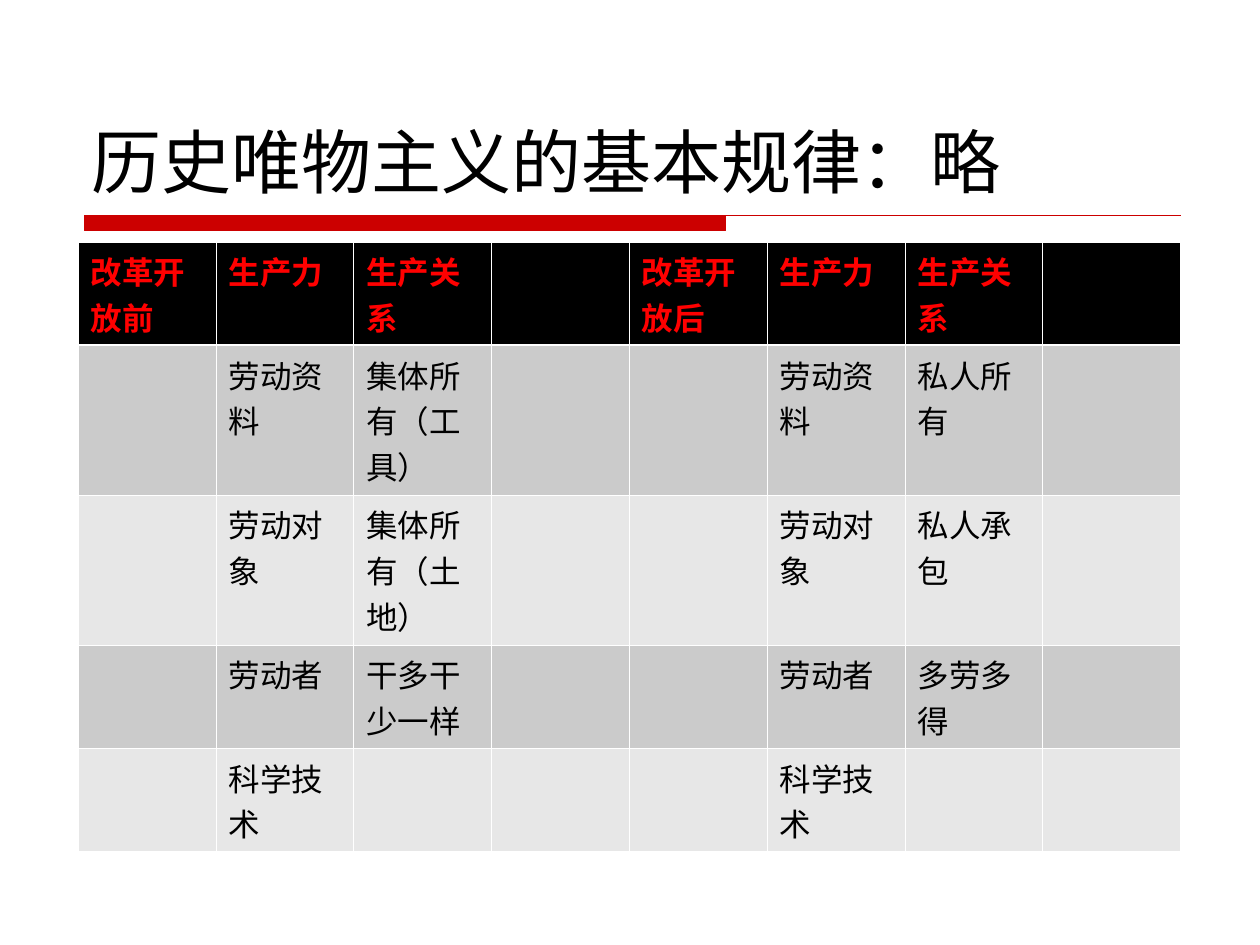
from lxml import etree
from pptx import Presentation
from pptx.dml.color import RGBColor
from pptx.enum.shapes import MSO_CONNECTOR
from pptx.enum.text import MSO_ANCHOR
from pptx.oxml.ns import qn
from pptx.util import Inches, Pt

STRAIGHT = MSO_CONNECTOR.STRAIGHT
BOTTOM = MSO_ANCHOR.BOTTOM

TITLE = "历史唯物主义的基本规律：略"
ROWS = [
    ["改革开放前", "生产力", "生产关系", "", "改革开放后", "生产力", "生产关系", ""],
    ["", "劳动资料", "集体所有（工具）", "", "", "劳动资料", "私人所有", ""],
    ["", "劳动对象", "集体所有（土地）", "", "", "劳动对象", "私人承包", ""],
    ["", "劳动者", "干多干少一样", "", "", "劳动者", "多劳多得", ""],
    ["", "科学技术", "", "", "", "科学技术", "", ""],
]
ROW_HEIGHTS = [0.82, 1.19, 1.19, 0.82, 0.82]
TABLE_LEFT, TABLE_TOP, TABLE_WIDTH = 0.62, 1.92, 8.75
RULE_LEFT, RULE_TOP, RULE_RIGHT = 0.67, 1.71, 9.37
BAR_RIGHT, BAR_BOTTOM = 5.76, 1.83
FOOTER_TOP, FOOTER_RIGHT = 6.75, 9.33
THIN, THICK = 0.45, 1.47

COLORS = {
    "accent": "CC0000",
    "text": "000000",
    "header": "000000",
    "header_text": "FF0000",
    "odd": "CBCBCB",
    "even": "E7E7E7",
    "border": "FFFFFF",
}
FONT = "DejaVu Sans"
TITLE_FORMAT = {"name": FONT, "size": Pt(40), "bold": False}
HEADER_FORMAT = {"name": FONT, "size": Pt(18), "bold": True}
BODY_FORMAT = {"name": FONT, "size": Pt(18), "bold": False}


def color(name):
    return RGBColor.from_string(COLORS[name])


def write(frame, text, style, color_name):
    span = frame.paragraphs[0].add_run()
    span.text = text
    for key, value in style.items():
        setattr(span.font, key, value)
    span.font.color.rgb = color(color_name)
    return span


def add_borders(cell, widths):
    properties = cell._tc.get_or_add_tcPr()
    for side, width in widths.items():
        line = etree.SubElement(properties, qn(f"a:ln{side}"), w=str(Pt(width)))
        fill = etree.SubElement(line, qn("a:solidFill"))
        etree.SubElement(fill, qn("a:srgbClr"), val=COLORS["border"])


def add_title(page):
    box = page.shapes.add_textbox(Inches(0.63), Inches(0.33), Inches(8.75), Inches(1.33))
    frame = box.text_frame
    frame.word_wrap = True
    frame.vertical_anchor = BOTTOM
    span = write(frame, TITLE, TITLE_FORMAT, "text")
    etree.SubElement(span.font._element, qn("a:ea"), typeface=FONT)


def add_title_rule(page):
    left, top = Inches(RULE_LEFT), Inches(RULE_TOP)
    right, bottom = Inches(BAR_RIGHT), Inches(BAR_BOTTOM)
    outline = page.shapes.build_freeform(left, top)
    outline.add_line_segments([(right, top), (right, bottom), (left, bottom)], close=True)
    outline.move_to(left, top)
    outline.add_line_segments([(Inches(RULE_RIGHT), top)], close=False)
    rule = outline.convert_to_shape()
    rule.shadow.inherit = False
    rule.fill.solid()
    rule.fill.fore_color.rgb = color("accent")
    rule.line.color.rgb = color("accent")
    rule.line.width = Pt(0.75)


def add_footer_rule(page):
    top = Inches(FOOTER_TOP)
    rule = page.shapes.add_connector(
        STRAIGHT, Inches(RULE_LEFT), top, Inches(FOOTER_RIGHT), top
    )
    rule.line.color.rgb = color("accent")
    rule.line.width = Pt(0.25)
    etree.SubElement(rule._element.spPr, qn("a:effectLst"))


def add_comparison_table(page):
    columns = len(ROWS[0])
    table = page.shapes.add_table(
        len(ROWS), columns, Inches(TABLE_LEFT), Inches(TABLE_TOP),
        Inches(TABLE_WIDTH), Inches(sum(ROW_HEIGHTS)),
    ).table
    for column in table.columns:
        column.width = Inches(TABLE_WIDTH / columns)
    for index, (texts, height) in enumerate(zip(ROWS, ROW_HEIGHTS)):
        table.rows[index].height = Inches(height)
        is_header = index == 0
        fill_name = "header" if is_header else ("odd" if index % 2 else "even")
        style = HEADER_FORMAT if is_header else BODY_FORMAT
        text_color = "header_text" if is_header else "text"
        widths = {
            "L": THIN,
            "R": THIN,
            "T": THICK if index == 1 else THIN,
            "B": THICK if is_header else THIN,
        }
        for cell, text in zip(table.rows[index].cells, texts):
            add_borders(cell, widths)
            cell.fill.solid()
            cell.fill.fore_color.rgb = color(fill_name)
            if text:
                write(cell.text_frame, text, style, text_color)


def main():
    deck = Presentation()
    deck.slide_width, deck.slide_height = Inches(10), Inches(7.5)
    page = deck.slides.add_slide(deck.slide_layouts[6])
    add_title_rule(page)
    add_footer_rule(page)
    add_title(page)
    add_comparison_table(page)
    deck.save("out.pptx")


if __name__ == "__main__":
    main()
